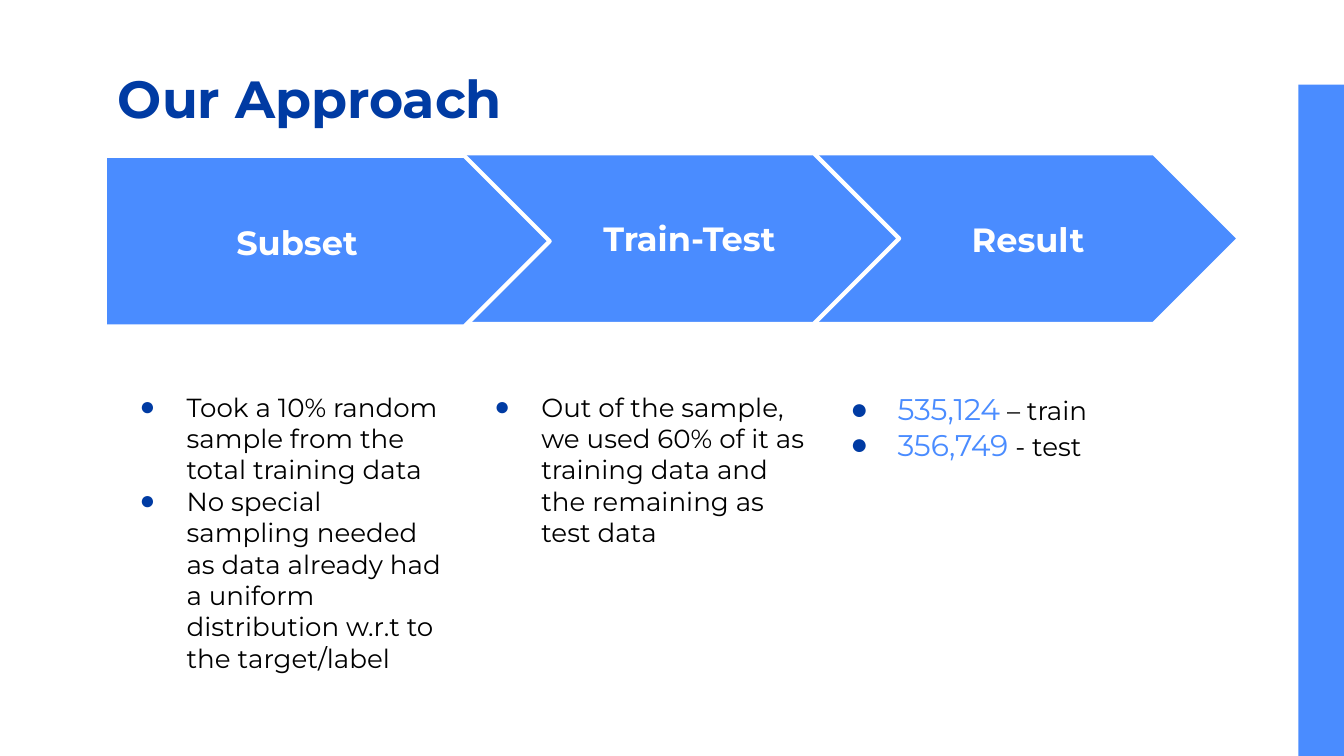
import dataclasses

import pptx
import pptx.dml.color
import pptx.enum.shapes
import pptx.enum.text
import pptx.oxml.ns
import pptx.util
from lxml import etree

Inches = pptx.util.Inches
Shape = pptx.enum.shapes.MSO_SHAPE
Align = pptx.enum.text.PP_ALIGN
Anchor = pptx.enum.text.MSO_ANCHOR


@dataclasses.dataclass(frozen=True)
class Theme:
    font: str = "Montserrat"
    dot: str = "Arial"
    blue: str = "4A8CFF"
    navy: str = "003BA3"
    black: str = "000000"
    white: str = "FFFFFF"
    title: int = 28
    head: int = 18
    figure: int = 16
    body: int = 14
    edge: float = 2.25


def rgb(code):
    return pptx.dml.color.RGBColor.from_string(code)


class Deck:
    def __init__(self, slide, theme):
        self.slide = slide
        self.theme = theme

    def block(self, kind, box, edged=False):
        """Add a blue preset shape, with a white edge if asked."""
        shape = self.slide.shapes.add_shape(kind, *map(Inches, box))
        shape.shadow.inherit = False
        shape.fill.solid()
        shape.fill.fore_color.rgb = rgb(self.theme.blue)
        if edged:
            shape.line.color.rgb = rgb(self.theme.white)
            shape.line.width = pptx.util.Pt(self.theme.edge)
        else:
            shape.line.fill.background()
        return shape

    def arrow(self, left, top):
        shape = self.block(Shape.PENTAGON, (left, top, 3.31, 1.27), True)
        shape.adjustments[0] = 0.5

    def frame(self, box):
        """Add a wrapping text box and return its text frame."""
        frame = self.slide.shapes.add_textbox(*map(Inches, box)).text_frame
        frame.word_wrap = True
        frame.vertical_anchor = Anchor.TOP
        frame.margin_left = frame.margin_right = Inches(0.1)
        frame.margin_top = frame.margin_bottom = Inches(0.1)
        return frame

    def style(self, run, size, color, bold=False):
        run.font.name = self.theme.font
        run.font.size = pptx.util.Pt(size)
        run.font.color.rgb = rgb(color)
        run.font.bold = bold

    def title(self, text, box):
        frame = self.frame(box)
        frame.text = text
        self.style(frame.paragraphs[0].runs[0], self.theme.title,
                   self.theme.navy, True)

    def head(self, text, left, top):
        frame = self.frame((left, top, 1.9, 0.5))
        frame.text = text
        para = frame.paragraphs[0]
        para.alignment = Align.CENTER
        para.space_after = pptx.util.Pt(16)
        self.style(para.runs[0], self.theme.head, self.theme.white, True)

    def bullet(self, para):
        props = para._p.get_or_add_pPr()
        props.set("marL", str(Inches(0.5)))
        props.set("indent", str(Inches(-0.35)))
        qn = pptx.oxml.ns.qn
        color = etree.SubElement(props, qn("a:buClr"))
        etree.SubElement(color, qn("a:srgbClr"), val=self.theme.navy)
        etree.SubElement(props, qn("a:buFont"), typeface=self.theme.dot)
        etree.SubElement(props, qn("a:buChar"), char="●")

    def points(self, items, left, height):
        """Add a bulleted list; each item is a (figure, words) pair."""
        frame = self.frame((left, 2.81, 2.66, height))
        for i, (figure, words) in enumerate(items):
            para = frame.add_paragraph() if i else frame.paragraphs[0]
            self.bullet(para)
            if figure:
                run = para.add_run()
                run.text = figure
                self.style(run, self.theme.figure, self.theme.blue)
            run = para.add_run()
            run.text = words
            self.style(run, self.theme.body, self.theme.black)


def main():
    show = pptx.Presentation()
    show.slide_width = Inches(10)
    show.slide_height = show.slide_width * 9 // 16
    deck = Deck(show.slides.add_slide(show.slide_layouts[6]), Theme())

    bar = deck.block(Shape.RECTANGLE, (7.33, 2.96, 5, 0.34))
    bar.rotation = 90

    # Later steps lie underneath, so each tip overlaps the next arrow.
    deck.arrow(5.91, 1.14)
    deck.arrow(3.38, 1.14)
    deck.title("Our Approach", (0.78, 0.39, 8.43, 0.71))
    deck.arrow(0.78, 1.16)

    deck.head("Subset", 1.26, 1.55)
    deck.head("Train-Test", 4.18, 1.52)
    deck.head("Result", 6.7, 1.53)

    deck.points([
        ("", "Took a 10% random sample from the total training data"),
        ("", "No special sampling needed as data already had a uniform "
             "distribution w.r.t to the target/label"),
    ], 0.79, 2.24)
    deck.points([
        ("", "Out of the sample, we used 60% of it as training data and "
             "the remaining as test data"),
    ], 3.43, 1.82)
    deck.points([("535,124", " – train"), ("356,749", " - test")], 6.08, 1.82)

    show.save("out.pptx")


if __name__ == "__main__":
    main()
